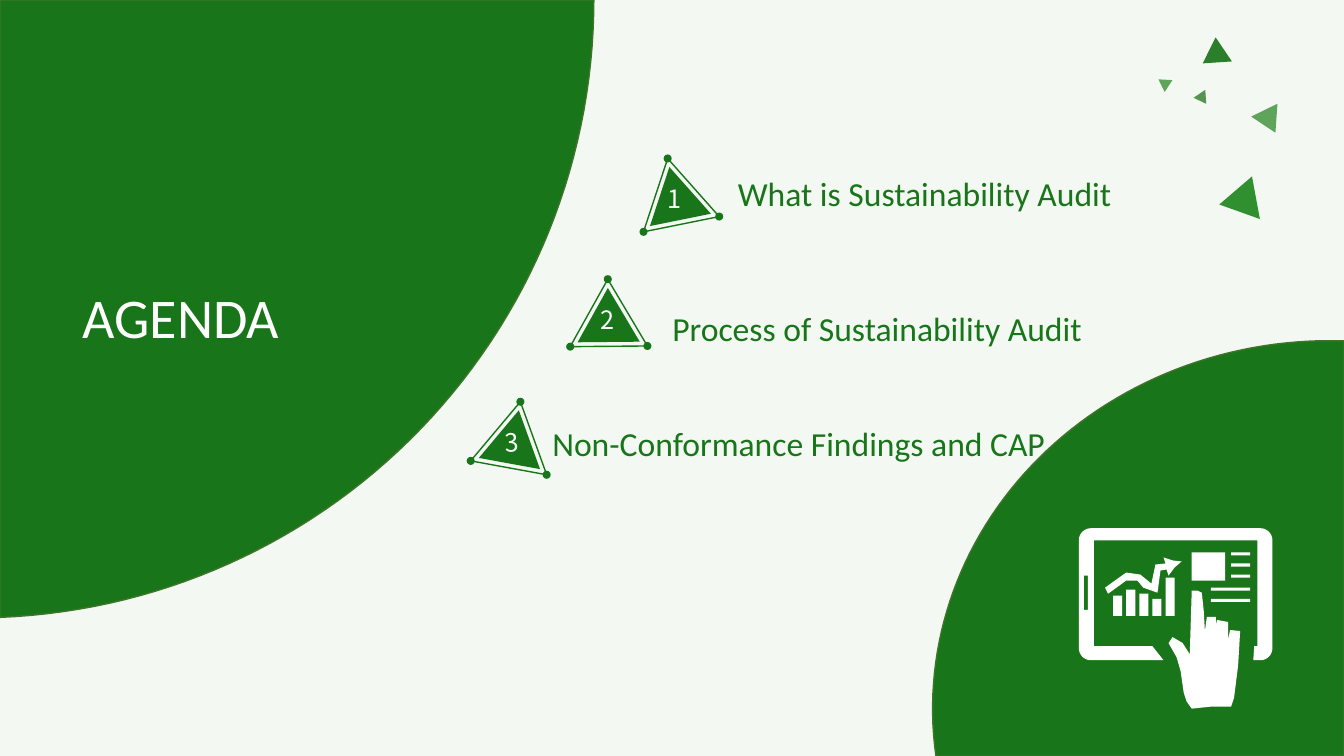
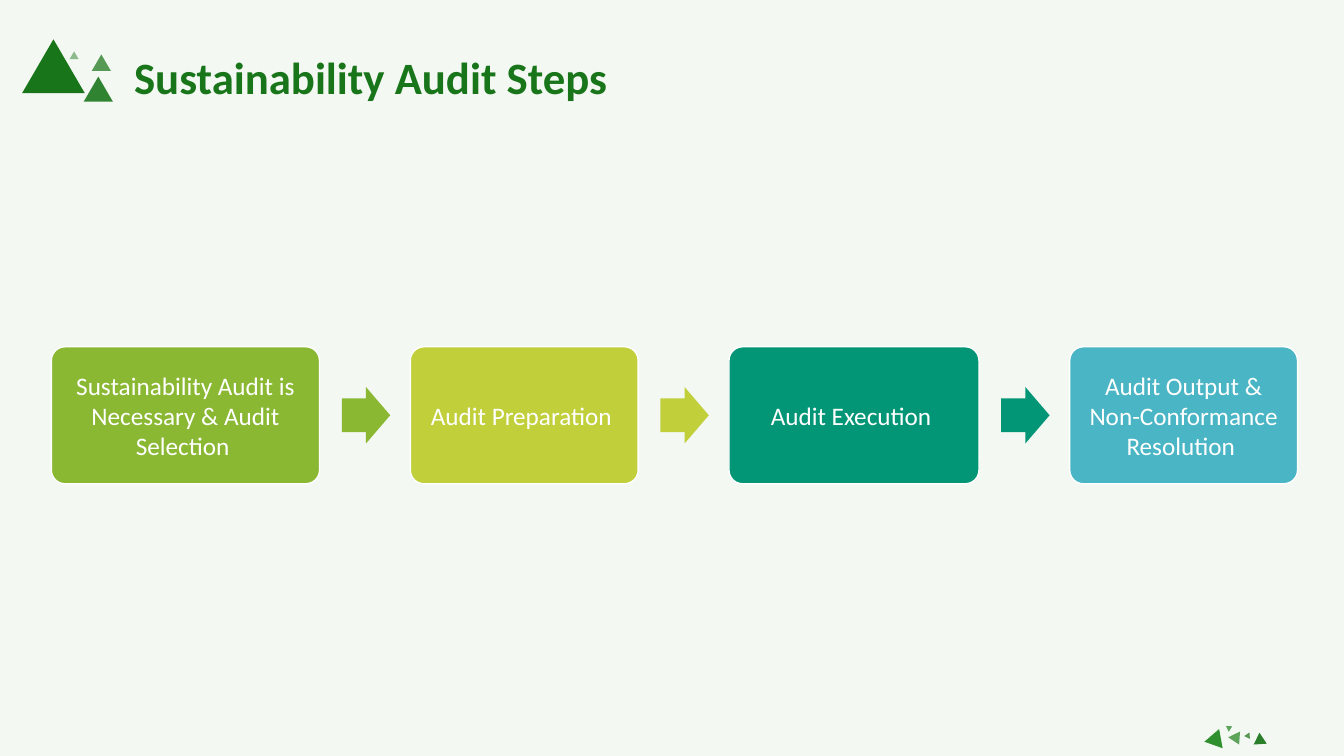
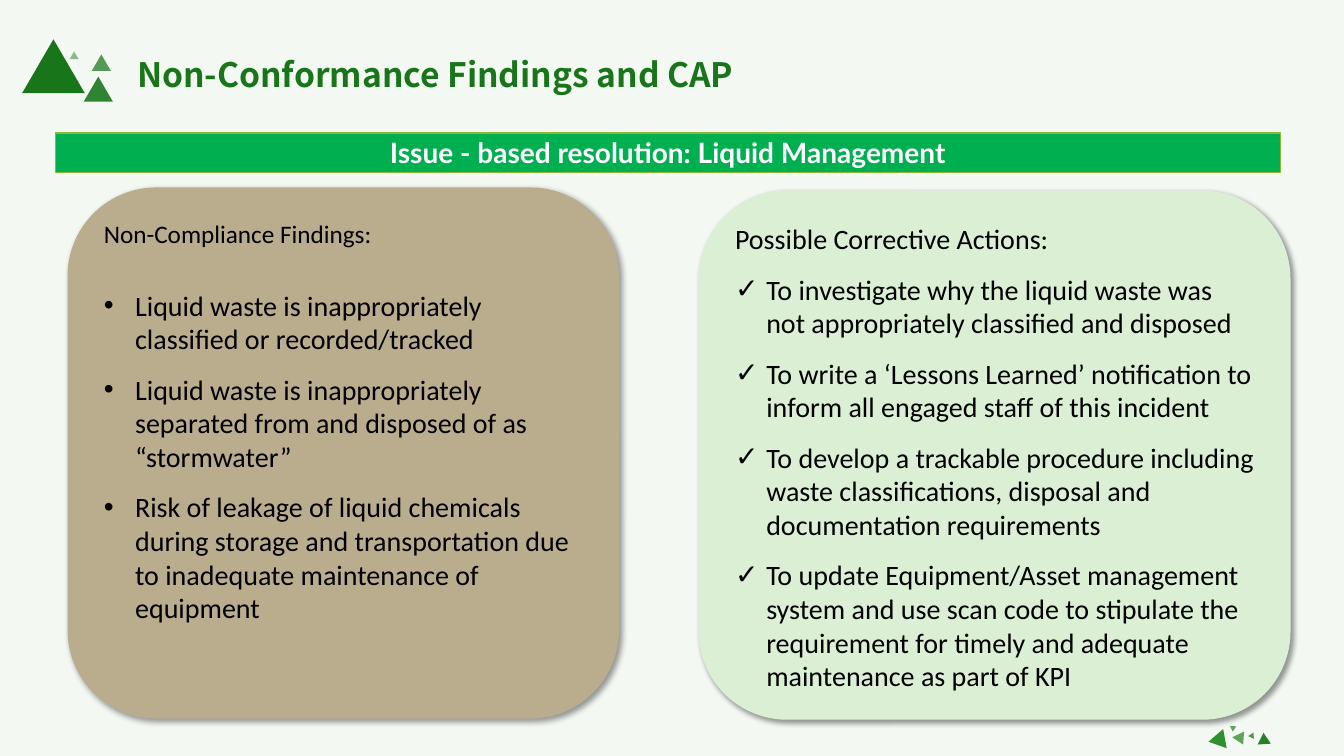
import math

import pptx
import pptx.dml.color
import pptx.enum.shapes
import pptx.enum.text
import pptx.oxml
import pptx.oxml.ns
import pptx.util
from lxml import etree

RGBColor = pptx.dml.color.RGBColor
Shape = pptx.enum.shapes.MSO_SHAPE
Align = pptx.enum.text.PP_ALIGN
Anchor = pptx.enum.text.MSO_ANCHOR
Inches = pptx.util.Inches
qn = pptx.oxml.ns.qn

WIDTH, HEIGHT = 13.33, 7.5
TITLE_ONLY, TWO_CONTENT = 5, 3

WHITE = RGBColor(0xFF, 0xFF, 0xFF)
BLACK = RGBColor(0x00, 0x00, 0x00)
PALE = RGBColor(0xF3, 0xF8, 0xF3)
GREEN = RGBColor(0x19, 0x75, 0x19)
EDGE = RGBColor(0x3E, 0x75, 0x2A)
LEAF = RGBColor(0x5E, 0xA4, 0x5A)
GRASS = RGBColor(0x30, 0x90, 0x30)
FOREST = RGBColor(0x2B, 0x7E, 0x2A)
MOSS = RGBColor(0x55, 0x95, 0x51)
LIME = RGBColor(0x8A, 0xB8, 0x33)
YELLOW = RGBColor(0xC0, 0xCF, 0x3A)
TEAL = RGBColor(0x02, 0x96, 0x76)
BLUE = RGBColor(0x4A, 0xB5, 0xC4)
BANNER = RGBColor(0x00, 0xB0, 0x50)
SAND = RGBColor(0xBA, 0xAD, 0x8D)
MINT = RGBColor(0xDB, 0xEF, 0xD4)

BODY_FONT = "Calibri"
BANNER_FONT = "Lato"
CJK_FONT = "Noto Sans CJK SC"

TRIANGLE_RATIO = 0.86
# Width, rotation and colour of each scattered triangle
SCATTER = [
    (0.29, 153.9, LEAF),
    (0.43, 259.5, GRASS),
    (0.29, 356.2, FOREST),
    (0.14, 303.5, LEAF),
    (0.14, 145.8, MOSS),
]
SCATTER_WIDE = [(12.45, 1.08), (12.06, 1.81), (11.92, 0.37), (11.47, 0.76), (11.86, 0.92)]
SCATTER_FOOTER = [(12.2, 7.28), (11.93, 7.26), (12.43, 7.27), (12.15, 7.19), (12.35, 7.28)]


def box(left, top, width, height):
    return [Inches(value) for value in (left, top, width, height)]


def paint(shape, fill=None, line=None, alpha=None):
    """Set fill, 1 pt outline and fill opacity in percent; None means none."""
    shape.shadow.inherit = False
    if fill is None:
        shape.fill.background()
    else:
        shape.fill.solid()
        shape.fill.fore_color.rgb = fill
    if line is None:
        shape.line.fill.background()
    else:
        shape.line.color.rgb = line
        shape.line.width = pptx.util.Pt(1)
    if alpha is not None:
        color = shape.element.spPr.find(qn("a:solidFill"))[0]
        etree.SubElement(color, qn("a:alpha"), val=str(alpha * 1000))


def add_shape(slide, kind, place, fill=None, line=None, rotation=0, alpha=None):
    shape = slide.shapes.add_shape(kind, *box(*place))
    shape.rotation = rotation
    paint(shape, fill, line, alpha)
    return shape


def add_triangle(slide, left, top, width, **look):
    place = (left, top, width, width * TRIANGLE_RATIO)
    return add_shape(slide, Shape.ISOSCELES_TRIANGLE, place, **look)


def style(paragraph, size, color, font=BODY_FONT, bold=False, align=Align.LEFT):
    paragraph.alignment = align
    paragraph.font.name = font
    paragraph.font.size = pptx.util.Pt(size)
    paragraph.font.bold = bold
    paragraph.font.color.rgb = color


def prepare_frame(shape, anchor=Anchor.TOP, side=0.1, end=0.05):
    frame = shape.text_frame
    frame.word_wrap = True
    frame.auto_size = pptx.enum.text.MSO_AUTO_SIZE.NONE
    frame.vertical_anchor = anchor
    frame.margin_left = frame.margin_right = Inches(side)
    frame.margin_top = frame.margin_bottom = Inches(end)
    return frame


def write(shape, text, size, color, font=BODY_FONT, bold=False, align=Align.LEFT, **layout):
    frame = prepare_frame(shape, **layout)
    frame.text = text
    style(frame.paragraphs[0], size, color, font, bold, align)


def place_in_front(slide, placeholder, place):
    placeholder.left, placeholder.top, placeholder.width, placeholder.height = box(*place)
    slide.shapes.element.append(placeholder.element)


def set_title(slide, text, place, size, color=GREEN, font=BODY_FONT, bold=True):
    place_in_front(slide, slide.shapes.title, place)
    write(slide.shapes.title, text, size, color, font, bold)


def add_scatter(slide, positions, scale=1, shift=0):
    for (left, top), (width, rotation, color) in zip(positions, SCATTER):
        add_triangle(slide, left + shift, top, width * scale, fill=color, rotation=rotation)


def add_content_frame(slide, shift=0):
    """Draw the triangles beside the title and in the footer."""
    add_scatter(slide, SCATTER_FOOTER, 0.45, shift)
    for left, top, width, alpha in [
        (0.22, 0.39, 0.62, None),
        (0.83, 0.76, 0.29, 89),
        (0.69, 0.51, 0.09, 47),
        (0.91, 0.54, 0.19, 72),
    ]:
        add_triangle(slide, left, top, width, fill=GREEN, alpha=alpha)


def arc(center_x, center_y, radius_x, radius_y, start, end, steps=8):
    """Points on an ellipse; degrees run clockwise from the right."""
    angles = [math.radians(start + (end - start) * i / steps) for i in range(steps + 1)]
    return [(center_x + radius_x * math.cos(a), center_y + radius_y * math.sin(a)) for a in angles]


def rectangle(left, top, width, height):
    right, bottom = left + width, top + height
    return [(left, top), (right, top), (right, bottom), (left, bottom)]


def add_outline(slide, contours, fill, line=None):
    """Draw closed contours, given in inches, as one shape."""
    contours = [[(Inches(x), Inches(y)) for x, y in contour] for contour in contours]
    builder = slide.shapes.build_freeform(*contours[0][0])
    for index, contour in enumerate(contours):
        if index:
            builder.move_to(*contour[0])
        builder.add_line_segments(contour[1:], close=True)
    paint(builder.convert_to_shape(), fill, line)


def add_tablet_icon(slide):
    left, right, top, bottom, radius = 10.82, 12.5, 5.36, 6.43, 0.12
    frame = (
        arc(left, top, radius, radius, 180, 270)
        + arc(right, top, radius, radius, 270, 360)
        + arc(right, bottom, radius, radius, 0, 90)
        + [(12.43, 6.55), (12.44, 6.41), (12.47, 6.41), (12.47, 5.36),
           (10.85, 5.36), (10.85, 6.41), (11.43, 6.41), (11.54, 6.55)]
        + arc(left, bottom, radius, radius, 90, 180)
    )
    button = rectangle(10.75, 5.71, 0.04, 0.34)
    picture = rectangle(11.82, 5.48, 0.33, 0.28)
    short_lines = [rectangle(12.21, 5.48 + 0.11 * i, 0.19, 0.03) for i in range(3)]
    long_lines = [rectangle(12.01, 5.83 + 0.11 * i, 0.39, 0.03) for i in range(2)]
    bars = [
        rectangle(11.04 + 0.13 * i, bar_top, 0.09, 6.11 - bar_top)
        for i, bar_top in enumerate([5.91, 5.85, 5.89, 5.94, 5.73])
    ]
    trend = [
        (10.96, 5.83), (10.99, 5.89), (11.17, 5.76), (11.28, 5.76), (11.34, 5.83),
        (11.48, 5.88), (11.51, 5.66), (11.57, 5.65), (11.59, 5.71), (11.65, 5.63),
        (11.72, 5.57), (11.63, 5.56), (11.54, 5.53), (11.56, 5.59), (11.46, 5.6),
        (11.42, 5.79), (11.31, 5.7), (11.17, 5.68),
    ]
    hand = [
        (11.95, 6.26), (11.94, 6.07), (11.92, 5.88), (11.88, 5.86), (11.82, 5.86),
        (11.81, 6.18), (11.8, 6.49), (11.73, 6.38), (11.63, 6.32), (11.59, 6.38),
        (11.67, 6.52), (11.71, 6.66), (11.74, 6.87), (11.77, 6.96), (11.82, 7.03),
        (12.01, 7.01), (12.21, 7.01), (12.24, 6.92), (12.28, 6.6), (12.3, 6.26),
        (12.2, 6.25), (12.18, 6.35), (12.18, 6.17), (12.07, 6.15), (12.06, 6.2),
        (12.06, 6.12), (11.97, 6.12),
    ]
    contours = [frame, button, picture, *short_lines, *long_lines, *bars, trend, hand]
    add_outline(slide, contours, WHITE)


def add_agenda_marker(slide, number, center, rotation, tilt=0):
    """Draw a rotated triangle with a dot on each corner and an upright number."""
    width, inner, dot = 0.77, 0.62, 0.08
    height = width * TRIANGLE_RATIO
    angle = math.radians(rotation)

    def turned(x, y):
        return (
            center[0] + x * math.cos(angle) - y * math.sin(angle),
            center[1] + x * math.sin(angle) + y * math.cos(angle),
        )

    def around(point, box_width, box_height):
        return point[0] - box_width / 2, point[1] - box_height / 2, box_width, box_height

    add_triangle(slide, *around(center, width, height)[:3], line=GREEN, rotation=rotation)
    inner_center = turned(0, (width - inner) * TRIANGLE_RATIO / 6)
    inner_place = around(inner_center, inner, inner * TRIANGLE_RATIO)
    add_triangle(slide, *inner_place[:3], fill=GREEN, rotation=rotation)
    for corner in [(0, -height / 2), (width / 2, height / 2), (-width / 2, height / 2)]:
        add_shape(slide, Shape.OVAL, around(turned(*corner), dot, dot), fill=GREEN)
    label = slide.shapes.add_textbox(*box(*around(turned(0.04, 0.12), 0.25, 0.4)))
    label.rotation = tilt
    write(label, str(number), 18, WHITE, CJK_FONT, align=Align.CENTER, side=0)


def build_agenda(slide):
    add_scatter(slide, SCATTER_WIDE)
    corner = [(0, 0)] + arc(-0.24, 0, 6.13, 6.13, 0, 87.76, 60)
    add_outline(slide, [corner], GREEN, EDGE)
    agenda = [
        ("What is Sustainability Audit", (7.22, 1.67), (6.63, 2.08), 228.4, 0),
        ("Process of Sustainability Audit", (6.57, 3.01), (5.94, 3.27), 239.3, 0),
        ("Non-Conformance Findings and CAP", (5.38, 4.15), (4.98, 4.46), 250.2, 356.4),
    ]
    for number, (text, position, center, rotation, tilt) in enumerate(agenda, 1):
        add_agenda_marker(slide, number, center, rotation, tilt)
        label = slide.shapes.add_textbox(*box(*position, 5.5, 0.5))
        write(label, text, 24, GREEN)
    hill = [(WIDTH, HEIGHT), (WIDTH, 3.38)] + arc(13.19, 7.03, 3.94, 3.65, 270, 172.6, 60)
    add_outline(slide, [hill], GREEN, EDGE)
    add_tablet_icon(slide)
    set_title(slide, "AGENDA", (0.72, 2.75, 3.37, 0.77), 40, WHITE, bold=False)


def build_steps(slide):
    add_content_frame(slide)
    steps = [
        ("Sustainability Audit is Necessary & Audit Selection ", 2.66, LIME),
        ("Audit Preparation ", 2.26, YELLOW),
        ("Audit Execution ", 2.48, TEAL),
        ("Audit Output & Non-Conformance Resolution ", 2.26, BLUE),
    ]
    left, top, height, gap = 0.51, 3.44, 1.36, 0.9
    arrow_width, arrow_height = 0.48, 0.56
    for index, (text, width, color) in enumerate(steps):
        if index:
            place = (left - gap + 0.22, top + (height - arrow_height) / 2, arrow_width, arrow_height)
            arrow = add_shape(slide, Shape.RIGHT_ARROW, place, fill=steps[index - 1][2])
            arrow.adjustments[0] = 0.6
        step = add_shape(slide, Shape.ROUNDED_RECTANGLE, (left, top, width, height), color, WHITE)
        step.adjustments[0] = 0.1
        write(step, text, 18, WHITE, align=Align.CENTER, anchor=Anchor.MIDDLE, side=0.07, end=0.07)
        left += width + gap
    set_title(slide, "Sustainability Audit Steps", (1.23, 0.44, 4.92, 0.64), 32)


def add_soft_shadow(shape):
    effects = shape.element.spPr.find(qn("a:effectLst"))
    shadow = etree.SubElement(
        effects, qn("a:outerShdw"), blurRad="50800", dist="38100", dir="2700000", algn="tl", rotWithShape="0"
    )
    color = etree.SubElement(shadow, qn("a:srgbClr"), val=str(BLACK))
    etree.SubElement(color, qn("a:alpha"), val="40000")


def set_bullet(paragraph, bullet):
    """Give a hanging bullet, or remove the inherited one when bullet is None."""
    indent = Inches(0.31) if bullet else 0
    properties = paragraph._p.get_or_add_pPr()
    properties.set("marL", str(indent))
    properties.set("indent", str(-indent))
    if bullet:
        etree.SubElement(properties, qn("a:buChar"), char=bullet)
    else:
        etree.SubElement(properties, qn("a:buNone"))


def fill_panel(slide, placeholder, place, color, heading, items, bullet, heading_size, spacing):
    """Put a heading and a list on a rounded panel; spacing is before and after the heading."""
    panel = add_shape(slide, Shape.ROUNDED_RECTANGLE, place, color)
    add_soft_shadow(panel)
    left, top, width, height = place
    inset = 0.26
    text_place = (left + inset, top + inset, width - 2 * inset, height - 2 * inset)
    place_in_front(slide, placeholder, text_place)
    frame = prepare_frame(placeholder)
    rows = [(heading, None, heading_size, spacing)] + [(item, bullet, 20, (6, 6)) for item in items]
    for index, (text, mark, size, (before, after)) in enumerate(rows):
        paragraph = frame.add_paragraph() if index else frame.paragraphs[0]
        paragraph.text = text
        set_bullet(paragraph, mark)
        paragraph.space_before = pptx.util.Pt(before)
        paragraph.space_after = pptx.util.Pt(after)
        style(paragraph, size, BLACK)


def build_findings(slide):
    add_content_frame(slide, 0.04)
    banner = add_shape(slide, Shape.RECTANGLE, (0.55, 1.32, 12.15, 0.39), BANNER, LIME)
    write(banner, "Issue - based resolution: Liquid Management", 20, WHITE, BANNER_FONT, True,
          Align.CENTER, anchor=Anchor.MIDDLE, side=0.08, end=0)
    findings = [
        "Liquid waste is inappropriately classified or recorded/tracked",
        "Liquid waste is inappropriately separated from and disposed of as “stormwater”",
        "Risk of leakage of liquid chemicals during storage and transportation due to "
        "inadequate maintenance of equipment",
    ]
    actions = [
        "To investigate why the liquid waste was not appropriately classified and disposed",
        "To write a ‘Lessons Learned’ notification to inform all engaged staff of this incident",
        "To develop a trackable procedure including waste classifications, disposal and "
        "documentation requirements",
        "To update Equipment/Asset management system and use scan code to stipulate the "
        "requirement for timely and adequate maintenance as part of KPI",
    ]
    fill_panel(slide, slide.placeholders[1], (0.67, 1.86, 5.47, 5.27), SAND,
               "Non-Compliance Findings:", findings, "•", 18, (0, 22))
    fill_panel(slide, slide.placeholders[2], (6.93, 1.89, 5.87, 5.25), MINT,
               "Possible Corrective Actions:", actions, "✓", 20, (6, 6))
    set_title(slide, "Non-Conformance Findings and CAP", (1.26, 0.48, 9.3, 0.5), 24, font=CJK_FONT)


def main():
    presentation = pptx.Presentation()
    presentation.slide_width = Inches(WIDTH)
    presentation.slide_height = Inches(HEIGHT)
    background = presentation.slide_master.background.fill
    background.solid()
    background.fore_color.rgb = PALE
    for layout, build in [
        (TITLE_ONLY, build_agenda),
        (TITLE_ONLY, build_steps),
        (TWO_CONTENT, build_findings),
    ]:
        build(presentation.slides.add_slide(presentation.slide_layouts[layout]))
    presentation.save("out.pptx")


if __name__ == "__main__":
    main()
